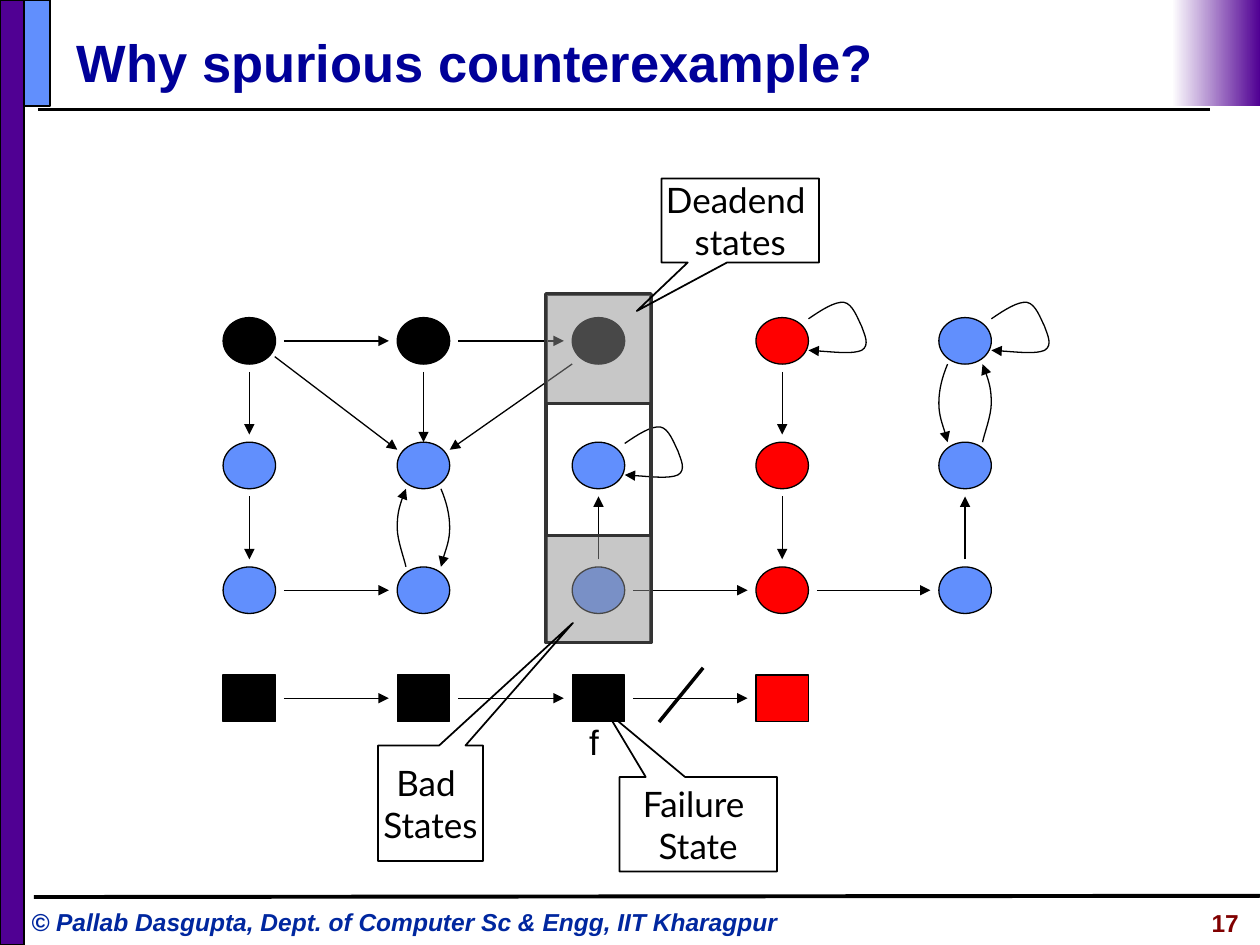
"""Builds a slide on why an abstract model yields a spurious counterexample."""
from dataclasses import dataclass
from typing import Optional

from lxml.etree import SubElement as Sub
from pptx import Presentation as Deck
from pptx.dml.color import RGBColor as Rgb
from pptx.enum.shapes import MSO_CONNECTOR as Link, MSO_SHAPE as Kind
from pptx.enum.text import MSO_ANCHOR as Anchor, PP_ALIGN as Align
from pptx.oxml.ns import qn
from pptx.util import Pt

BLACK, BLUE, RED, PURPLE = "000000", "618FFD", "FF0000", "500093"
COLS = [142.5, 242, 342, 447, 551.5]
ROWS = [194.8, 266, 337.3, 399]
WIDE, HIGH = 30, 26.6
GAPX, GAPY = 19.8, 17.7
LOOP = [(15, -12.6), (22.3, -17.6), (30.2, -22.7), (35.3, -22), (40.3, -21.2),
        (43.2, -12.6), (45.4, -8.3), (46.8, -4), (50.4, 2.5), (45.4, 5.4),
        (40.3, 7.6), (27.4, 6.1), (15, 5.4)]
BEND = [(10, 13.3), (13, 20.5), (15, 27.7), (15, 35.6), (15, 42.8), (10.8, 53.6), (10, 57.9)]


@dataclass
class Box:
    left: float
    top: float
    width: float
    height: float
    fill: Optional[str] = None
    line: Optional[str] = BLACK
    weight: float = 1
    alpha: Optional[int] = None
    kind: Kind = Kind.RECTANGLE


@dataclass
class Note:
    box: Box
    tip: tuple[float, float]
    text: str


@dataclass
class Label:
    area: tuple[float, float, float, float]
    text: str
    style: dict
    align: Align = Align.LEFT


@dataclass
class Arc:
    col: int
    row: int
    points: list[tuple[float, float]]
    end: str = "tailEnd"
    side: int = 1


NOTES = [
    Note(Box(378, 102, 90, 48), (-0.657, 1.078), "Deadend \nstates"),
    Note(Box(216, 426, 60, 66), (1.356, -1.561), "Bad \nStates"),
    Note(Box(354, 444, 90, 54), (-0.582, -1.192), "Failure \nState"),
]
LABELS = [
    Label((10.8, 514.8, 458.6, 24.5), "© Pallab Dasgupta, Dept. of Computer Sc & Engg, IIT Kharagpur",
          {"name": "Arial", "size": Pt(14), "bold": True, "italic": True, "color": "00279F"}),
    Label((324, 408.2, 31, 31.7), "f", {"name": "Arial", "size": Pt(20), "color": BLACK}, Align.CENTER),
    Label((589, 515.5, 126, 25), "17",
          {"name": "Arial", "size": Pt(14), "bold": True, "color": "800000"}, Align.RIGHT),
]
EDGES = [((0, 0), (1, 0)), ((1, 0), (2, 0)), ((0, 0), (0, 1)), ((0, 1), (0, 2)),
         ((0, 2), (1, 2)), ((2, 2), (2, 1)), ((2, 2), (3, 2)), ((3, 0), (3, 1)),
         ((3, 1), (3, 2)), ((3, 2), (4, 2)), ((4, 2), (4, 1)),
         ((0, 3), (1, 3)), ((1, 3), (2, 3)), ((2, 3), (3, 3))]
ARCS = [Arc(2, 1, LOOP), Arc(3, 0, LOOP), Arc(4, 0, LOOP),
        Arc(1, 1, BEND), Arc(1, 1, BEND, "headEnd", -1),
        Arc(4, 0, BEND, "headEnd"), Arc(4, 0, BEND, "tailEnd", -1)]


def paint(part, color: str) -> None:
    """Gives a fill or font colour from a hex string."""
    part.rgb = Rgb.from_string(color)


def stroke(shape, color: str, weight: float, end: Optional[str] = None) -> None:
    """Sets a line's colour, weight and arrowhead."""
    paint(shape.line.color, color)
    shape.line.width = Pt(weight)
    if end:
        Sub(shape._element.spPr.find(qn("a:ln")), qn("a:" + end), type="triangle")


def format_text(para, style: dict, align: Align) -> None:
    """Applies format values to one paragraph."""
    para.alignment = align
    for key, value in style.items():
        if key == "color":
            paint(para.font.color, value)
        else:
            setattr(para.font, key, value)


def draw_box(shapes, box: Box):
    """Draws a preset shape."""
    shape = shapes.add_shape(box.kind, Pt(box.left), Pt(box.top), Pt(box.width), Pt(box.height))
    shape.shadow.inherit = False
    if box.fill:
        shape.fill.solid()
        paint(shape.fill.fore_color, box.fill)
    else:
        shape.fill.background()
    if box.alpha:
        Sub(shape._element.spPr.find(".//" + qn("a:srgbClr")), qn("a:alpha"), val=str(box.alpha * 1000))
    if box.line:
        stroke(shape, box.line, box.weight)
    else:
        shape.line.fill.background()
    return shape


def draw_line(shapes, start: tuple, stop: tuple, weight: float = 0.75, end: Optional[str] = None) -> None:
    """Draws a straight connector."""
    line = shapes.add_connector(Link.STRAIGHT, *map(Pt, start + stop))
    stroke(line, BLACK, weight, end)
    Sub(line._element.spPr, qn("a:effectLst"))


def draw_edge(shapes, start: tuple[int, int], stop: tuple[int, int]) -> None:
    """Draws an arrow between two neighbours on the grid."""
    dx = GAPX * (stop[0] - start[0])
    dy = GAPY * (stop[1] - start[1])
    draw_line(shapes, (COLS[start[0]] + dx, ROWS[start[1]] + dy),
              (COLS[stop[0]] - dx, ROWS[stop[1]] - dy), end="tailEnd")


def draw_arc(shapes, arc: Arc) -> None:
    """Draws a curved arrow through cubic control points."""
    spots = [(Pt(COLS[arc.col] + arc.side * x), Pt(ROWS[arc.row] + y)) for x, y in arc.points]
    pen = shapes.build_freeform(*spots[0])
    pen.add_line_segments(spots[1:], close=False)
    shape = pen.convert_to_shape()
    shape.shadow.inherit = False
    shape.fill.background()
    track = shape._element.spPr.find(".//" + qn("a:path"))
    steps = track.findall(qn("a:lnTo"))
    for first in range(0, len(steps), 3):
        curve = Sub(track, qn("a:cubicBezTo"))
        for step in steps[first:first + 3]:
            curve.append(step[0])
            track.remove(step)
    stroke(shape, BLACK, 0.75, arc.end)


def draw_note(shapes, note: Note) -> None:
    """Draws a callout with centred text."""
    note.box.kind = Kind.RECTANGULAR_CALLOUT
    shape = draw_box(shapes, note.box)
    for index, value in enumerate(note.tip):
        shape.adjustments[index] = value
    frame = shape.text_frame
    frame.text = note.text
    frame.word_wrap = False
    frame.vertical_anchor = Anchor.MIDDLE
    for para in frame.paragraphs:
        format_text(para, {"name": "Lato", "size": Pt(20), "color": BLACK}, Align.CENTER)


def draw_label(shapes, label: Label) -> None:
    """Draws a text box."""
    frame = shapes.add_textbox(*map(Pt, label.area)).text_frame
    frame.word_wrap = True
    frame.text = label.text
    format_text(frame.paragraphs[0], label.style, label.align)


def draw_frame(shapes) -> None:
    """Draws the bars, rules and title."""
    draw_line(shapes, (21.6, 62.6), (691.2, 62.6), 2.25)
    draw_box(shapes, Box(0, 0, 13.7, 540, PURPLE))
    draw_line(shapes, (19.4, 512.6), (720, 511.9), 2.25)
    draw_box(shapes, Box(13.7, 0, 15, 60.5, BLUE))
    fade = draw_box(shapes, Box(669.6, 0, 50.4, 60.5, line=None)).fill
    fade.gradient()
    fade.gradient_angle = 180
    for stop, color in zip(fade.gradient_stops, (PURPLE, "FFFFFF")):
        paint(stop.color, color)
    title = shapes.title
    place = {"left": 36.7, "top": 5.8, "width": 624.2, "height": 58.3}
    for key, value in place.items():
        setattr(title, key, Pt(value))
    title.text_frame.text = "Why spurious counterexample?"
    title.text_frame.vertical_anchor = Anchor.MIDDLE
    format_text(title.text_frame.paragraphs[0],
                {"name": "Arial", "size": Pt(30), "bold": True, "color": "000099"}, Align.LEFT)


def main() -> None:
    """Builds and saves the slide."""
    deck = Deck()
    deck.slide_width, deck.slide_height = Pt(720), Pt(540)
    shapes = deck.slides.add_slide(deck.slide_layouts[5]).shapes
    draw_frame(shapes)
    for start, stop in EDGES:
        draw_edge(shapes, start, stop)
    for start, stop in [((242, 212.5), (242, 252.7)), ((327, 208), (257, 257)), ((157, 203.8), (227, 257))]:
        draw_line(shapes, start, stop, end="tailEnd")
    for arc in ARCS:
        draw_arc(shapes, arc)
    for row, y in enumerate(ROWS):
        for col, x in enumerate(COLS[:4] if row == 3 else COLS):
            fill = RED if col == 3 else BLACK if row in (0, 3) and col < 3 else BLUE
            kind = Kind.RECTANGLE if row == 3 else Kind.OVAL
            draw_box(shapes, Box(x - WIDE / 2, y - HIGH / 2, WIDE, HIGH, fill, weight=0.75, kind=kind))
    draw_line(shapes, (401.8, 381.6), (376.6, 412.6), 2)
    draw_box(shapes, Box(312, 168, 60, 199.2, line="333333", weight=2))
    for top, height in ((168, 62.6), (306, 61.2)):
        draw_box(shapes, Box(312, top, 60, height, "919191", "333333", 1.5, 50))
    for note in NOTES:
        draw_note(shapes, note)
    for label in LABELS:
        draw_label(shapes, label)
    deck.save("out.pptx")


if __name__ == "__main__":
    main()
